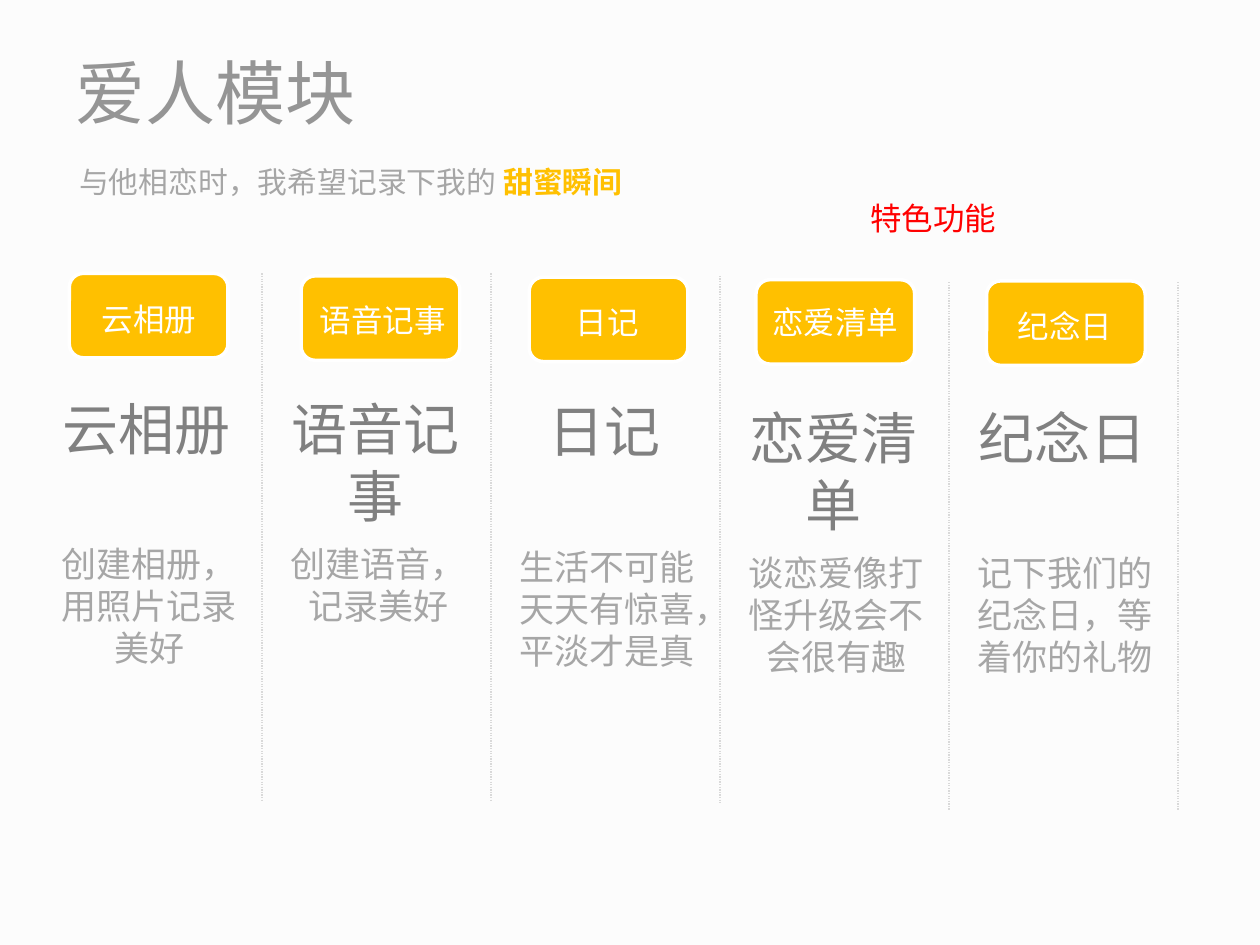
from lxml import etree
from pptx import Presentation
from pptx.dml.color import RGBColor
from pptx.enum.dml import MSO_LINE
from pptx.enum.shapes import MSO_CONNECTOR, MSO_SHAPE
from pptx.enum.text import MSO_ANCHOR, MSO_AUTO_SIZE, PP_ALIGN
from pptx.oxml.ns import qn
from pptx.util import Inches, Pt

CENTER, LEFT = PP_ALIGN.CENTER, PP_ALIGN.LEFT
MIDDLE, TOP = MSO_ANCHOR.MIDDLE, MSO_ANCHOR.TOP
FIT_SHAPE = MSO_AUTO_SIZE.SHAPE_TO_FIT_TEXT
STRAIGHT = MSO_CONNECTOR.STRAIGHT
ROUNDED = MSO_SHAPE.ROUNDED_RECTANGLE
DOTTED = MSO_LINE.ROUND_DOT

AMBER, WHITE, GREY = "FFC000", "FFFFFF", "A6A6A6"


def rgb(value):
    return RGBColor.from_string(value)


def add_text(shapes, box, text, size, font, color, align=LEFT, anchor=TOP, wrap=True):
    textbox = shapes.add_textbox(*[Inches(v) for v in box])
    frame = textbox.text_frame
    frame.text = text
    frame.word_wrap = wrap
    frame.vertical_anchor = anchor
    if not wrap:
        frame.auto_size = FIT_SHAPE
    paragraph = frame.paragraphs[0]
    paragraph.alignment = align
    run = paragraph.runs[0]
    run.font.size = Pt(size)
    run.font.name = font
    run.font.color.rgb = rgb(color)
    return paragraph


prs = Presentation()
prs.slide_width, prs.slide_height = Inches(10), Inches(7.5)
slide = prs.slides.add_slide(prs.slide_layouts[6])
slide.background.fill.solid()
slide.background.fill.fore_color.rgb = rgb("FCFCFC")

# Title and subtitle with highlighted ending
add_text(slide.shapes, (0.5, 0.3, 9, 0.85), "爱人模块", 40, "Cabin", "959595", anchor=MIDDLE)
subtitle = add_text(slide.shapes, (0.53, 1.18, 9, 0.53), "与他相恋时，我希望记录下我的 ",
                    17, "Calibri", GREY, anchor=MIDDLE)
highlight = subtitle.add_run()
highlight.text = "甜蜜瞬间"
highlight.font.size = Pt(17)
highlight.font.name = "Calibri"
highlight.font.bold = True
highlight.font.color.rgb = rgb(AMBER)

# Feature columns: name, description, divider top, heading top,
# badge left and top, label left, top and width
features = [
    ("云相册", "创建相册，用照片记录美好", 2.17, 3.08, 0.55, 2.17, 0.71, 2.33, 0.96),
    ("语音记事", "创建语音，记录美好", 2.17, 3.08, 2.39, 2.19, 2.44, 2.34, 1.21),
    ("日记", "生活不可能天天有惊喜，平淡才是真", 2.19, 3.10, 4.20, 2.20, 4.47, 2.36, 0.71),
    ("恋爱清单", "谈恋爱像打怪升级会不会很有趣", 2.24, 3.15, 6.00, 2.22, 6.03, 2.36, 1.21),
    ("纪念日", "记下我们的纪念日，等着你的礼物", 2.24, 3.15, 7.83, 2.23, 7.98, 2.39, 0.96),
]
COLUMN_STEP = 1.8175

for index, (name, description, divider_top, heading_top, badge_left, badge_top,
            label_left, label_top, label_width) in enumerate(features):
    offset = index * COLUMN_STEP

    # Dotted divider on the right of the column
    divider_x = Inches(2.08 + offset)
    divider = slide.shapes.add_connector(STRAIGHT, divider_x, Inches(divider_top),
                                         divider_x, Inches(divider_top + 4.19))
    divider.line.color.rgb = rgb("D9D9D9")
    divider.line.width = Pt(0.75)
    divider.line.dash_style = DOTTED
    etree.SubElement(divider._element.spPr, qn("a:effectLst"))

    # Heading and description
    column = slide.shapes.add_group_shape()
    details = add_text(column.shapes, (0.26 + offset, heading_top + 1.18, 1.85, 0.86),
                       description, 20, "Calibri", GREY, CENTER)
    details.space_before = Pt(4)
    heading = add_text(column.shapes, (0.34 + offset, heading_top, 1.65, 0.67),
                       name, 32, "Cabin", "808080", CENTER)
    heading.space_before = Pt(6.4)

    # Badge and its label
    badge = slide.shapes.add_shape(ROUNDED, Inches(badge_left), Inches(badge_top),
                                   Inches(1.26), Inches(0.67))
    badge.shadow.inherit = False
    badge.fill.solid()
    badge.fill.fore_color.rgb = rgb(AMBER)
    badge.line.color.rgb = rgb(WHITE)
    badge.line.width = Pt(2)
    add_text(slide.shapes, (label_left, label_top, label_width, 0.4),
             name, 18, "Calibri", WHITE, wrap=False)

# Red callout above the fourth column
add_text(slide.shapes, (6.81, 1.53, 1.21, 0.4), "特色功能", 18, "Calibri", "FF0000", wrap=False)

prs.save("out.pptx")
